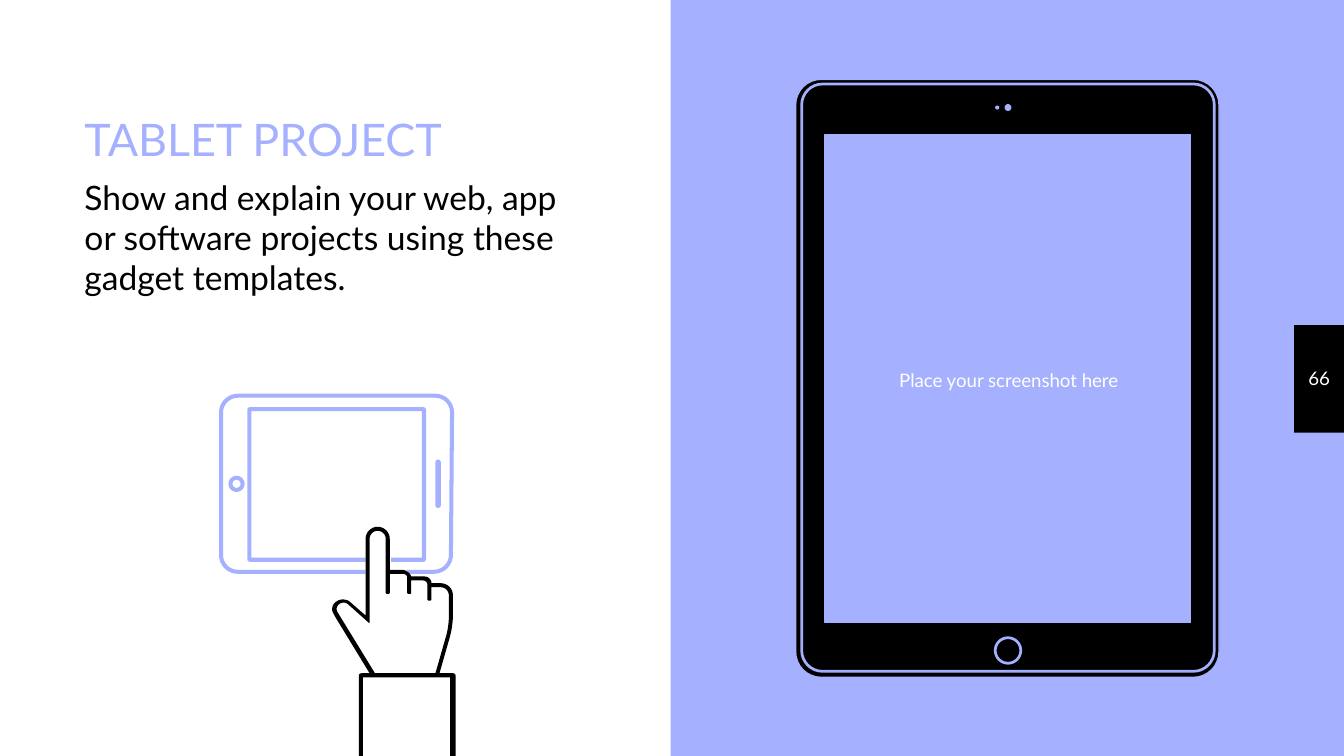
from math import dist

from pptx import Presentation
from pptx.dml.color import RGBColor
from pptx.enum.shapes import MSO_SHAPE
from pptx.enum.text import MSO_ANCHOR, PP_ALIGN
from pptx.util import Inches, Pt

LAVENDER = RGBColor(0xA5, 0xB0, 0xFE)
BLACK = RGBColor(0x00, 0x00, 0x00)
WHITE = RGBColor(0xFF, 0xFF, 0xFF)
FONT = "Lato"
SLIDE_WIDTH = 10
SLIDE_HEIGHT = SLIDE_WIDTH * 9 / 16
CURVE_STEPS = 8
KAPPA = 0.55


def toward(start, end, share):
    return tuple(a + (b - a) * share for a, b in zip(start, end))


def rounded(vertices):
    """Turn (x, y[, cut]) corners into points, curving each corner that has a cut."""
    points = []
    for index, (x, y, *cut) in enumerate(vertices):
        corner = (x, y)
        if not cut:
            points.append(corner)
            continue
        before = vertices[index - 1][:2]
        after = vertices[(index + 1) % len(vertices)][:2]
        start = toward(corner, before, cut[0] / dist(corner, before))
        end = toward(corner, after, cut[0] / dist(corner, after))
        handles = toward(start, corner, KAPPA), toward(end, corner, KAPPA)
        for step in range(CURVE_STEPS + 1):
            t = step / CURVE_STEPS
            weights = ((1 - t) ** 3, 3 * t * (1 - t) ** 2, 3 * t * t * (1 - t), t ** 3)
            curve = (start, *handles, end)
            points.append(tuple(sum(w * p[axis] for w, p in zip(weights, curve))
                                for axis in (0, 1)))
    return points


def box(left, top, right, bottom, cut=0):
    corners = [(left, top), (right, top), (right, bottom), (left, bottom)]
    return [(*corner, cut) if cut else corner for corner in corners]


def circle(x, y, radius):
    return box(x - radius, y - radius, x + radius, y + radius, radius)


def write(paragraph, text, size, color, align=PP_ALIGN.LEFT, before=0):
    paragraph.alignment = align
    paragraph.space_before = Pt(before)
    run = paragraph.add_run()
    run.text = text
    run.font.name = FONT
    run.font.size = Pt(size)
    run.font.color.rgb = color


class SlideBuilder:
    def __init__(self, slide):
        self.slide = slide
        fill = slide.background.fill
        fill.solid()
        fill.fore_color.rgb = LAVENDER

    def paint(self, shape, fill, line=None):
        shape.shadow.inherit = False
        shape.fill.solid()
        shape.fill.fore_color.rgb = fill
        if line is None:
            shape.line.fill.background()
        else:
            shape.line.color.rgb = line
            shape.line.width = Pt(0.75)

    def panel(self, left, top, width, height, fill):
        shape = self.slide.shapes.add_shape(
            MSO_SHAPE.RECTANGLE, *map(Inches, (left, top, width, height)))
        self.paint(shape, fill)

    def outline(self, contours, fill, line=None):
        """Draw one shape; a contour inside another one cuts a hole."""
        builder = None
        for contour in contours:
            first, *others = [tuple(map(Inches, point)) for point in rounded(contour)]
            if builder is None:
                builder = self.slide.shapes.build_freeform(*first)
            else:
                builder.move_to(*first)
            builder.add_line_segments(others, close=True)
        self.paint(builder.convert_to_shape(), fill, line)

    def text(self, left, top, width, height, anchor=MSO_ANCHOR.MIDDLE):
        """Add a text box and return its frame."""
        shape = self.slide.shapes.add_textbox(*map(Inches, (left, top, width, height)))
        frame = shape.text_frame
        frame.word_wrap = True
        frame.vertical_anchor = anchor
        frame.margin_left = frame.margin_right = Inches(0.1)
        frame.margin_top = frame.margin_bottom = Inches(0.1)
        return frame

    def label(self, text, *place):
        write(self.text(*place).paragraphs[0], text, size=10, color=WHITE,
              align=PP_ALIGN.CENTER)


def draw_tablet(builder):
    builder.outline([
        box(5.92, 0.59, 9.07, 5.04, 0.19),
        box(5.96, 0.62, 9.04, 5, 0.16),
        box(5.97, 0.63, 9.03, 4.99, 0.15),
        box(6.14, 1, 8.86, 4.63),
        circle(7.42, 0.8, 0.01),
        circle(7.5, 0.8, 0.02),
        circle(7.5, 4.84, 0.1),
        circle(7.5, 4.84, 0.09),
    ], BLACK, LAVENDER)


def draw_small_tablet(builder):
    """Both frames stay open at the bottom, where the finger crosses them."""
    screen = [
        (2.72, 4.18), (1.84, 4.18, 0.02), (1.84, 3.03, 0.02), (3.17, 3.03, 0.02),
        (3.17, 4.18, 0.02), (2.91, 4.18), (2.91, 4.15), (3.14, 4.15),
        (3.14, 3.06), (1.87, 3.06), (1.87, 4.15), (2.72, 4.15),
    ]
    case = [
        (2.72, 4.27), (1.63, 4.27, 0.14), (1.63, 2.93, 0.14), (3.38, 2.93, 0.14),
        (3.37, 4.27, 0.14), (3.05, 4.27), (3.02, 4.24), (3.34, 4.24, 0.11),
        (3.35, 2.96, 0.11), (1.66, 2.96, 0.11), (1.66, 4.24, 0.11), (2.72, 4.24),
    ]
    home_button = [circle(1.76, 3.6, 0.06), circle(1.76, 3.6, 0.03)]
    speaker = box(3.24, 3.42, 3.28, 3.78, 0.02)
    for contours in ([screen], home_button, [speaker], [case]):
        builder.outline(contours, LAVENDER)


def draw_hand(builder):
    sleeve = [
        (2.75, 5.01), (2.67, 5.01, 0.02), (2.67, 5.65), (2.7, 5.65), (2.7, 5.04),
        (3.35, 5.04), (3.35, 5.65), (3.39, 5.65), (3.39, 5.01, 0.02), (3.27, 5.01),
    ]
    knuckles = [
        (3.37, 4.66, 0.08), (3.37, 4.34, 0.09), (3.21, 4.34), (3.21, 4.29, 0.05),
        (3.06, 4.29), (3.04, 4.24, 0.05),
    ]
    finger_and_thumb = [
        (2.9, 4.24), (2.9, 3.92, 0.09), (2.72, 3.92, 0.09), (2.72, 4.58),
        (2.56, 4.44, 0.06), (2.45, 4.51, 0.06), (2.5, 4.6),
    ]
    inside = [
        (2.79, 5.01), (2.49, 4.52, 0.04), (2.56, 4.47, 0.04), (2.75, 4.64, 0.01),
        (2.75, 3.95, 0.06), (2.87, 3.95, 0.06), (2.87, 4.42, 0.01),
        (2.9, 4.42, 0.01), (2.9, 4.27), (3.03, 4.27, 0.03), (3.03, 4.42, 0.01),
        (3.06, 4.42, 0.01), (3.06, 4.32), (3.18, 4.32, 0.03), (3.18, 4.47, 0.01),
        (3.21, 4.47, 0.01), (3.21, 4.37), (3.34, 4.37, 0.06), (3.34, 4.66, 0.07),
        (3.24, 5.01),
    ]
    builder.outline([sleeve + knuckles + finger_and_thumb, inside], BLACK)


def main():
    presentation = Presentation()
    presentation.slide_width = Inches(SLIDE_WIDTH)
    presentation.slide_height = Inches(SLIDE_HEIGHT)
    builder = SlideBuilder(presentation.slides.add_slide(presentation.slide_layouts[6]))

    builder.panel(9.63, 2.42, 0.37, 0.8, BLACK)
    builder.panel(0, 0, 4.99, SLIDE_HEIGHT, WHITE)
    draw_tablet(builder)
    builder.label("Place your screenshot here", 6.14, 1, 2.73, 3.65)
    builder.label("66", 9.63, 2.41, 0.37, 0.8)

    body = builder.text(0.53, 0.73, 3.95, 4.09, anchor=MSO_ANCHOR.TOP)
    write(body.paragraphs[0], "TABLET PROJECT", size=24, color=LAVENDER, before=6)
    write(body.add_paragraph(),
          "Show and explain your web, app or software projects using these "
          "gadget templates.", size=18, color=BLACK, before=6)

    draw_small_tablet(builder)
    draw_hand(builder)
    presentation.save("out.pptx")


if __name__ == "__main__":
    main()
